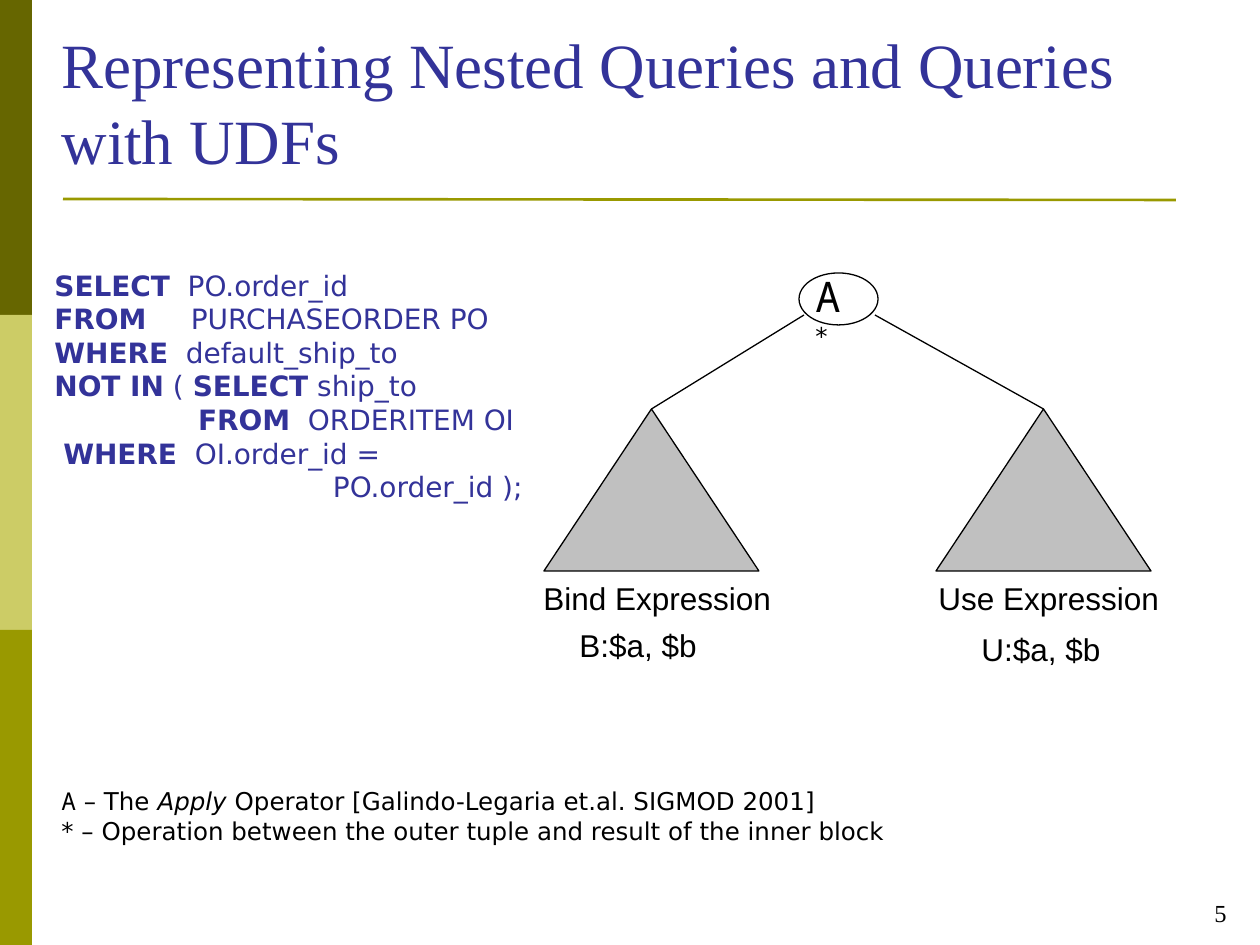
"""Build the slide on representing nested queries with the Apply operator."""
import pptx
import pptx.dml.color
import pptx.enum.shapes
import pptx.enum.text
import pptx.oxml
import pptx.oxml.ns
import pptx.util

COLORS = {
    "dark olive": "666600", "pale olive": "CCCC66", "olive": "999900",
    "indigo": "333399", "black": "000000", "gray": "C0C0C0",
}
SERIF, SANS, MONO, LABEL = "Times New Roman", "DejaVu Sans", "Noto Sans Mono", "Arial"
ALIGN = pptx.enum.text.PP_ALIGN
SHAPE = pptx.enum.shapes.MSO_SHAPE
AUTO_SIZE = pptx.enum.text.MSO_AUTO_SIZE
NAMESPACE = pptx.oxml.ns.nsdecls("a")
PIXELS_PER_INCH = 126


def px(length):
    return pptx.util.Emu(round(length * 914400 / PIXELS_PER_INCH))


def rgb(name):
    return pptx.dml.color.RGBColor.from_string(COLORS[name])


class SlideBuilder:
    def __init__(self, slide):
        self.slide = slide

    def format_run(self, run, size, font, color, bold=False, italic=False):
        run.font.size = pptx.util.Pt(size)
        run.font.name = font
        run.font.bold = bold
        run.font.italic = italic
        run.font.color.rgb = rgb(color)

    def title(self, text, box, size):
        shape = self.slide.shapes.title
        shape.left, shape.top, shape.width, shape.height = map(px, box)
        frame = shape.text_frame
        frame.text = text
        frame.auto_size = AUTO_SIZE.NONE
        frame.vertical_anchor = pptx.enum.text.MSO_ANCHOR.BOTTOM
        frame.paragraphs[0].alignment = ALIGN.LEFT
        self.format_run(frame.paragraphs[0].runs[0], size, SERIF, "indigo")

    def tab_stops(self, paragraph, positions):
        stops = "".join(f'<a:tab pos="{px(position)}" algn="l"/>' for position in positions)
        paragraph._p.get_or_add_pPr().append(
            pptx.oxml.parse_xml(f"<a:tabLst {NAMESPACE}>{stops}</a:tabLst>"))

    def text(self, lines, box, size, font, color="black", wrap=True,
             align=ALIGN.LEFT, spacing=None, tabs=()):
        shape = self.slide.shapes.add_textbox(*map(px, box))
        frame = shape.text_frame
        frame.word_wrap = wrap
        frame.auto_size = AUTO_SIZE.SHAPE_TO_FIT_TEXT
        for index, line in enumerate(lines):
            paragraph = frame.add_paragraph() if index else frame.paragraphs[0]
            paragraph.alignment = align
            paragraph.line_spacing = spacing
            if tabs:
                self.tab_stops(paragraph, tabs)
            for text, style in line:
                run = paragraph.add_run()
                run.text = text
                self.format_run(run, **{"size": size, "font": font, "color": color, **style})

    def shape(self, kind, box, fill=None, line=None):
        shape = self.slide.shapes.add_shape(kind, *map(px, box))
        shape.shadow.inherit = False
        if fill:
            shape.fill.solid()
            shape.fill.fore_color.rgb = rgb(fill)
        else:
            shape.fill.background()
        if line:
            shape.line.color.rgb = rgb(line)
            shape.line.width = pptx.util.Pt(0.75)
        else:
            shape.line.fill.background()
        return shape

    def line(self, start, end, color="black", width=0.75, target=None):
        connector = self.slide.shapes.add_connector(
            pptx.enum.shapes.MSO_CONNECTOR.STRAIGHT, *map(px, start + end))
        connector.line.color.rgb = rgb(color)
        connector.line.width = pptx.util.Pt(width)
        connector._element.spPr.append(
            pptx.oxml.parse_xml(f"<a:effectLst {NAMESPACE}/>"))
        if target is not None:
            connector.end_connect(target, 0)


def main():
    presentation = pptx.Presentation()
    presentation.slide_width, presentation.slide_height = px(1260), px(945)
    builder = SlideBuilder(presentation.slides.add_slide(presentation.slide_layouts[5]))
    plain, bold = {}, {"bold": True}

    for index, color in enumerate(("dark olive", "pale olive", "olive")):
        builder.shape(SHAPE.RECTANGLE, (0, 315 * index, 32, 315), fill=color)
    builder.line((63, 199), (1176, 200), "olive", 1.5)
    builder.text([[("5", plain)]], (1166, 892, 73, 34), 14, SERIF, align=ALIGN.RIGHT)
    builder.title("Representing Nested Queries and Queries with UDFs",
                  (49, 20, 1134, 163), 36)

    branches = (
        (544, (804, 315), ("Bind Expression", (531, 575, 258, 49)),
         ("B:$a, $b", (567, 622, 150, 49))),
        (936, (875, 315), ("Use Expression", (926, 575, 252, 49)),
         ("U:$a, $b", (969, 626, 150, 49))),
    )
    for left, start, *labels in branches:
        triangle = builder.shape(SHAPE.ISOSCELES_TRIANGLE, (left, 409, 215, 162),
                                 "gray", "black")
        builder.line(start, (left + 107, 409), target=triangle)
        for text, box in labels:
            builder.text([[(text, plain)]], box, 18, LABEL, wrap=False, spacing=0.96)
    builder.text([[("A ", {"size": 24, "font": MONO}), ("*", plain)]],
                 (803, 264, 81, 63), 14, SANS)
    builder.shape(SHAPE.OVAL, (799, 273, 79, 52), line="black")

    builder.text([
        [("A", {"font": MONO}), (" – The ", plain), ("Apply", {"italic": True}),
         (" Operator [Galindo-Legaria et.al. SIGMOD 2001]", plain)],
        [("* – Operation between the outer tuple and result of the inner block", plain)],
    ], (49, 780, 1134, 72), 14, SANS)
    builder.text([
        [("SELECT", bold), ("  PO.order_id", plain)],
        [("FROM", bold), ("     PURCHASEORDER PO", plain)],
        [("WHERE", bold), ("  default_ship_to", plain)],
        [("NOT IN", bold), (" ( ", plain), ("SELECT", bold), (" ship_to", plain)],
        [("\t  ", plain), ("FROM", bold), ("  ORDERITEM OI", plain)],
        [(" ", plain), ("WHERE", bold), ("  OI.order_id =", plain)],
        [("\t\t   PO.order_id );", plain)],
    ], (42, 262, 525, 248), 16, SANS, "indigo", tabs=(126, 252))

    presentation.save("out.pptx")


if __name__ == "__main__":
    main()
